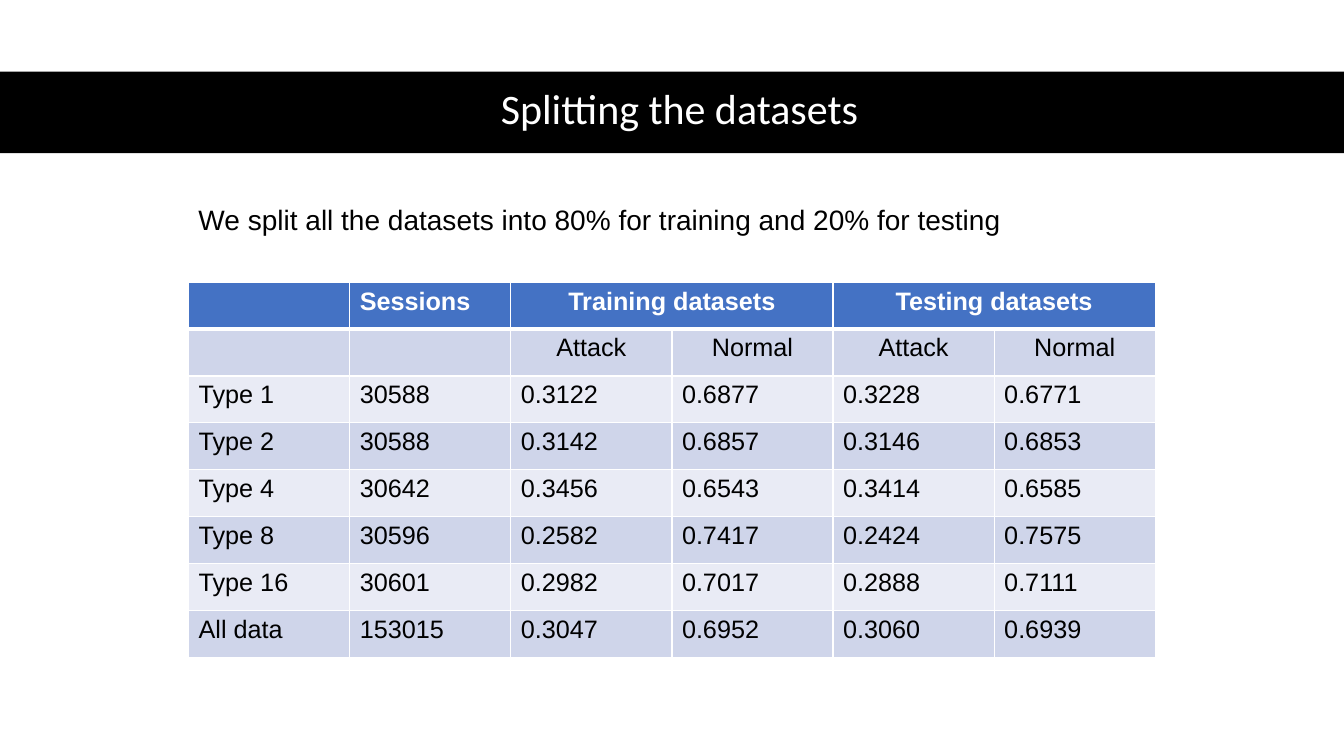
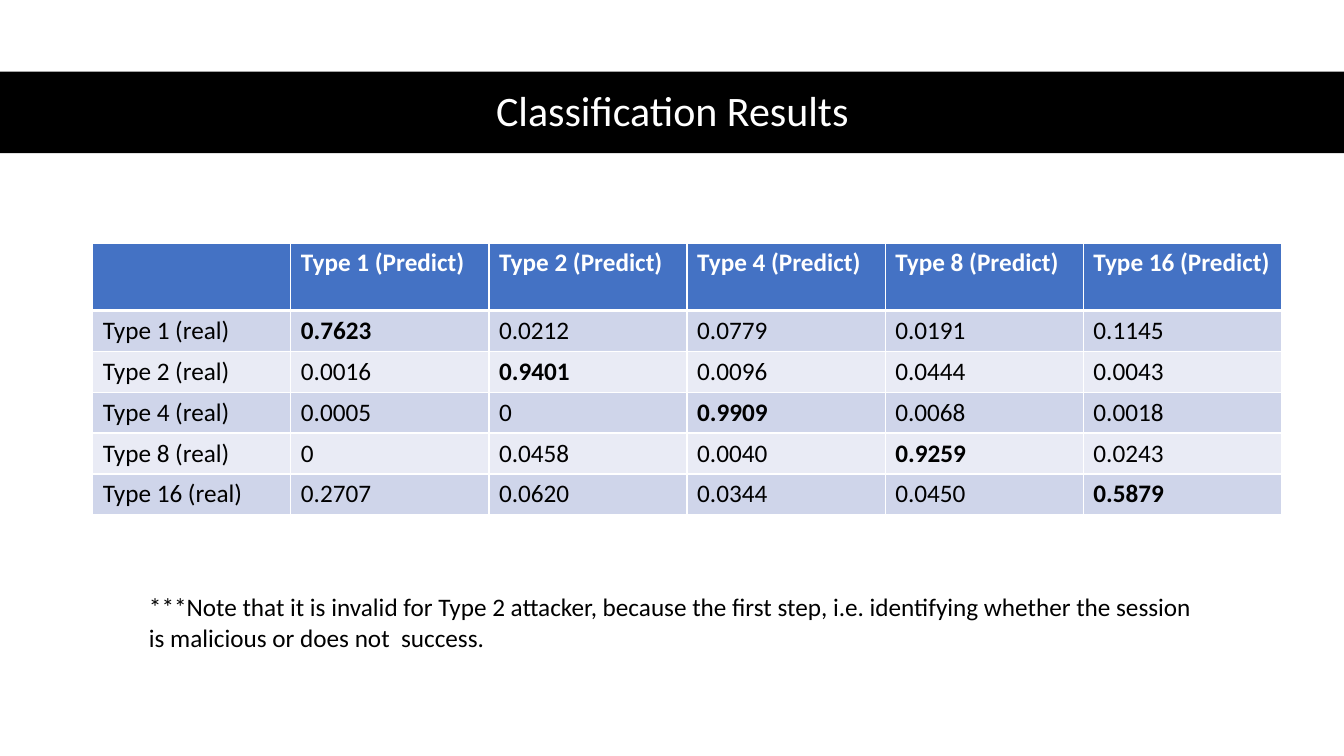
from dataclasses import dataclass

from lxml import etree
from pptx import Presentation, util as u
from pptx.dml.color import RGBColor
from pptx.enum import shapes, text
from pptx.oxml import ns

SLIDE_WIDTH = u.Inches(13.33)
SLIDE_HEIGHT = u.Inches(7.5)
TITLE_ONLY = 5


@dataclass(frozen=True)
class Theme:
    black: str = "000000"
    white: str = "FFFFFF"
    header: str = "4472C4"
    band_dark: str = "CFD5EA"
    band_light: str = "E9EBF5"
    title_font: str = "Calibri"
    title_size: int = 30
    table_size: int = 18
    thin_line: float = 1
    thick_line: float = 3


@dataclass(frozen=True)
class Box:
    """A frame in percent of the slide's width and height."""
    left: float
    top: float
    width: float
    height: float

    def frame(self) -> tuple[int, int, int, int]:
        return (int(SLIDE_WIDTH * self.left / 100), int(SLIDE_HEIGHT * self.top / 100),
                int(SLIDE_WIDTH * self.width / 100), int(SLIDE_HEIGHT * self.height / 100))


@dataclass(frozen=True)
class TableData:
    box: Box
    rows: list[list[str]]
    header_share: float  # share of the table's height taken by the first row
    merged_pairs: tuple[int, ...] = ()  # first columns of header cells two columns wide
    centred_rows: int = 0  # rows centred under and within the merged headers
    bold_diagonal: bool = False


@dataclass(frozen=True)
class Note:
    box: Box
    lines: tuple[str, ...]
    size: int


@dataclass(frozen=True)
class SlideData:
    title: str
    title_box: Box
    font: str
    table: TableData
    note: Note


THEME = Theme()
TITLE_BAND = Box(0, 9.47, 100, 10.8)

SLIDES = [
    SlideData(
        "Splitting the datasets", Box(4.58, 9.33, 91.97, 10.8), "Arial",
        TableData(
            Box(14.03, 37.33, 71.94, 49.6),
            [
                ["", "Sessions", "Training datasets", "", "Testing datasets", ""],
                ["", "", "Attack", "Normal", "Attack", "Normal"],
                ["Type 1", "30588", "0.3122", "0.6877", "0.3228", "0.6771"],
                ["Type 2", "30588", "0.3142", "0.6857", "0.3146", "0.6853"],
                ["Type 4", "30642", "0.3456", "0.6543", "0.3414", "0.6585"],
                ["Type 8", "30596", "0.2582", "0.7417", "0.2424", "0.7575"],
                ["Type 16", "30601", "0.2982", "0.7017", "0.2888", "0.7111"],
                ["All data", "153015", "0.3047", "0.6952", "0.3060", "0.6939"],
            ],
            header_share=1 / 8, merged_pairs=(2, 4), centred_rows=2),
        Note(Box(14.03, 26.13, 61.59, 5.87),
             ("We split all the datasets into 80% for training and 20% for testing",), 20)),
    SlideData(
        "Classification Results", Box(4.05, 9.47, 91.97, 10.8), "Calibri",
        TableData(
            Box(6.9, 32.13, 88.45, 35.73),
            [
                [""] + [f"Type {number} (Predict)" for number in (1, 2, 4, 8, 16)],
                ["Type 1 (real)", "0.7623", "0.0212", "0.0779", "0.0191", "0.1145"],
                ["Type 2 (real)", "0.0016", "0.9401", "0.0096", "0.0444", "0.0043"],
                ["Type 4 (real)", "0.0005", "0", "0.9909", "0.0068", "0.0018"],
                ["Type 8 (real)", "0", "0.0458", "0.0040", "0.9259", "0.0243"],
                ["Type 16 (real)", "0.2707", "0.0620", "0.0344", "0.0450", "0.5879"],
            ],
            header_share=0.25, bold_diagonal=True),
        Note(Box(10.35, 77.6, 79.29, 9.33),
             ("***Note that it is invalid for Type 2 attacker, because the first step, "
              "i.e. identifying whether the session",
              "is malicious or does not  success."), 18)),
]


def style_font(paragraph, name: str, size: float, colour: str, bold: bool = False) -> None:
    font = paragraph.font
    font.name, font.size, font.bold = name, u.Pt(size), bold
    font.color.rgb = RGBColor.from_string(colour)


def set_borders(cell, top: float, bottom: float) -> None:
    """Draw white cell borders; the side lines are always thin."""
    properties = cell._tc.get_or_add_tcPr()
    widths = {"a:lnL": THEME.thin_line, "a:lnR": THEME.thin_line, "a:lnT": top, "a:lnB": bottom}
    for position, (tag, width) in enumerate(widths.items()):
        line = etree.Element(ns.qn(tag), w=str(u.Pt(width)))
        fill = etree.SubElement(line, ns.qn("a:solidFill"))
        etree.SubElement(fill, ns.qn("a:srgbClr"), val=THEME.white)
        properties.insert(position, line)


def add_title(slide, data: SlideData) -> None:
    title = slide.shapes.title
    title.left, title.top, title.width, title.height = data.title_box.frame()
    frame = title.text_frame
    frame.text = data.title
    frame.auto_size = text.MSO_AUTO_SIZE.NONE
    frame.vertical_anchor = text.MSO_ANCHOR.MIDDLE
    paragraph = frame.paragraphs[0]
    paragraph.alignment = text.PP_ALIGN.CENTER
    paragraph.line_spacing = 0.9
    style_font(paragraph, THEME.title_font, THEME.title_size, THEME.white)

    # Black band, placed behind the title
    band = slide.shapes.add_shape(shapes.MSO_SHAPE.RECTANGLE, *TITLE_BAND.frame())
    band.shadow.inherit = False
    band.fill.solid()
    band.fill.fore_color.rgb = RGBColor.from_string(THEME.black)
    band.line.fill.background()
    title._element.addprevious(band._element)


def fill_cell(cell, data: TableData, row: int, column: int, font: str) -> None:
    is_header = row == 0
    banding = THEME.band_dark if row % 2 else THEME.band_light
    cell.fill.solid()
    cell.fill.fore_color.rgb = RGBColor.from_string(THEME.header if is_header else banding)
    set_borders(cell,
                top=THEME.thick_line if row == 1 else THEME.thin_line,
                bottom=THEME.thick_line if is_header else THEME.thin_line)
    cell.text = data.rows[row][column]
    paragraph = cell.text_frame.paragraphs[0]
    if row < data.centred_rows and column >= min(data.merged_pairs):
        paragraph.alignment = text.PP_ALIGN.CENTER
    style_font(paragraph, font, THEME.table_size,
               THEME.white if is_header else THEME.black,
               bold=is_header or (data.bold_diagonal and row == column))


def add_data_table(slide, data: TableData, font: str) -> None:
    row_count, column_count = len(data.rows), len(data.rows[0])
    left, top, width, height = data.box.frame()
    table = slide.shapes.add_table(row_count, column_count, left, top, width, height).table
    table.first_row = table.horz_banding = False

    # Header height first, the rest shared equally
    header_height = int(height * data.header_share)
    for index, row in enumerate(table.rows):
        row.height = (height - header_height) // (row_count - 1) if index else header_height
    for column in table.columns:
        column.width = width // column_count

    for row in range(row_count):
        for column in range(column_count):
            fill_cell(table.cell(row, column), data, row, column, font)
    for column in data.merged_pairs:
        table.cell(0, column).merge(table.cell(0, column + 1))


def add_note(slide, note: Note, font: str) -> None:
    frame = slide.shapes.add_textbox(*note.box.frame()).text_frame
    frame.word_wrap = False
    frame.text = "\n".join(note.lines)
    for paragraph in frame.paragraphs:
        style_font(paragraph, font, note.size, THEME.black)


def main() -> None:
    presentation = Presentation()
    presentation.slide_width, presentation.slide_height = SLIDE_WIDTH, SLIDE_HEIGHT
    for data in SLIDES:
        slide = presentation.slides.add_slide(presentation.slide_layouts[TITLE_ONLY])
        add_title(slide, data)
        add_data_table(slide, data.table, data.font)
        add_note(slide, data.note, data.font)
    presentation.save("out.pptx")


if __name__ == "__main__":
    main()
